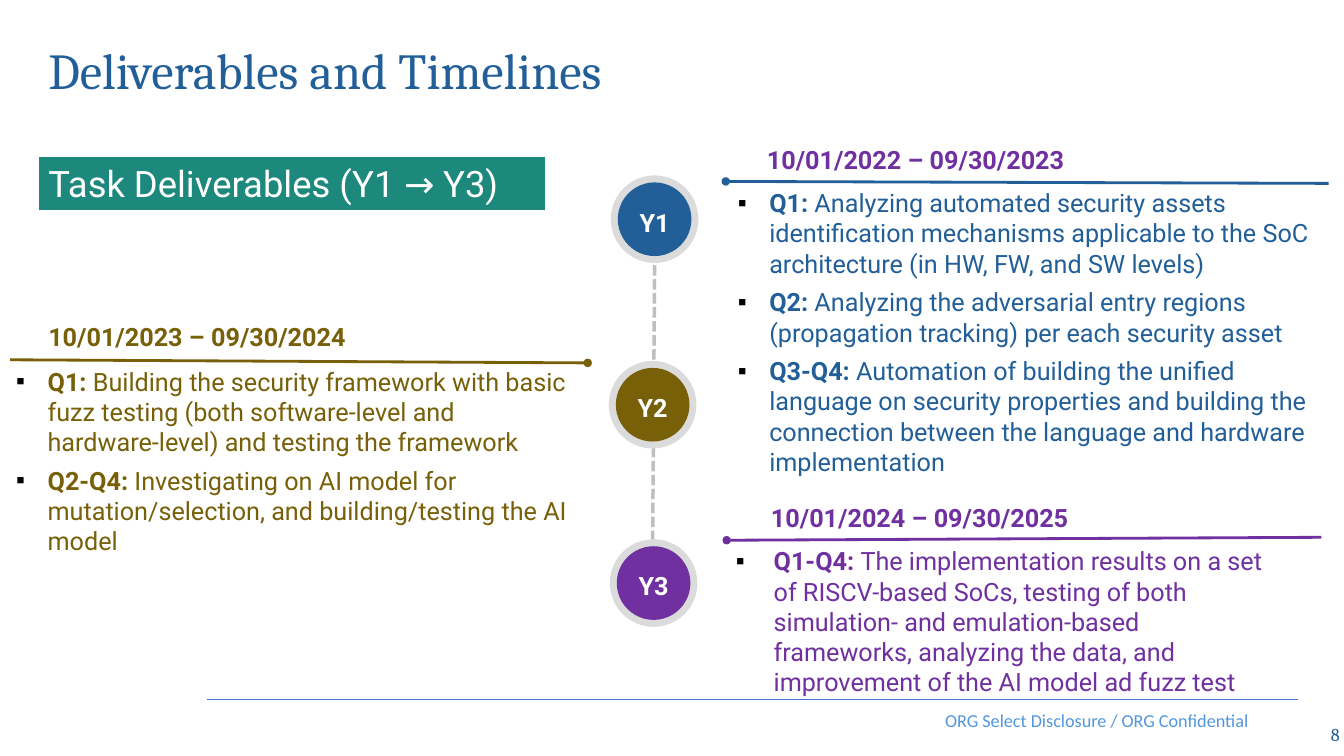
from lxml import etree
from pptx import Presentation
from pptx.dml.color import RGBColor
from pptx.enum.dml import MSO_LINE
from pptx.enum.shapes import MSO_CONNECTOR, MSO_SHAPE
from pptx.enum.text import MSO_ANCHOR, MSO_AUTO_SIZE, PP_ALIGN
from pptx.oxml.ns import qn
from pptx.util import Pt

STRAIGHT = MSO_CONNECTOR.STRAIGHT
OVAL, RECTANGLE = MSO_SHAPE.OVAL, MSO_SHAPE.RECTANGLE
TOP, MIDDLE = MSO_ANCHOR.TOP, MSO_ANCHOR.MIDDLE
LEFT, CENTER, RIGHT = PP_ALIGN.LEFT, PP_ALIGN.CENTER, PP_ALIGN.RIGHT
DASH = MSO_LINE.SQUARE_DOT
COMPARISON_LAYOUT = 3 + 1
HEADING, BODY, FOOTER = "Cambria", "Roboto", "Calibri"
COLORS = {
    "blue": "225F98", "gold": "786009", "purple": "7030A0", "teal": "1D897C",
    "ring": "DBDBDB", "dash": "BFBFBF", "rule": "4472C4", "footer": "5097DC",
    "white": "FFFFFF", "black": "000000",
}
RING, DISC = 62.6, 52.6

# Each year: label, ring centre, dates, dates colour, dates position
YEARS = [
    ("Y1", "blue", (467.6, 156.6), "10/01/2022 – 09/30/2023", "purple", (540.7, 99.4)),
    ("Y2", "gold", (466.2, 289.1), "10/01/2023 – 09/30/2024", "gold", (27.4, 226.1)),
    ("Y3", "purple", (466.9, 416.5), "10/01/2024 – 09/30/2025", "purple", (543.6, 355)),
]
# Each list: placeholder index, colour, box, hanging indent, rule start and end, items
LISTS = [
    (1, "blue", (519.8, 130.3, 430.6, 236.2), 22.5, (518.4, 129.6), (949, 131), [
        ("Q1:", " Analyzing automated security assets identification mechanisms "
                "applicable to the SoC architecture (in HW, FW, and SW levels)"),
        ("Q2:", " Analyzing the adversarial entry regions (propagation tracking) "
                "per each security asset"),
        ("Q3-Q4:", " Automation of building the unified language on security "
                   "properties and building the connection between the language "
                   "and hardware implementation"),
    ]),
    (2, "gold", (4.3, 257.8, 411.8, 151.2), 22.5, (419.8, 259.2), (7.2, 257), [
        ("Q1:", " Building the security framework with basic fuzz testing (both "
                "software-level and hardware-level) and testing the framework"),
        ("Q2-Q4:", " Investigating on AI model for mutation/selection, and "
                   "building/testing the AI model"),
    ]),
    (4, "purple", (518.4, 386.2, 406.1, 125.3), 27, (519.1, 385.9), (943.9, 383.8), [
        ("Q1-Q4: ", "The implementation results on a set of RISCV-based SoCs, "
                    "testing of both simulation- and emulation-based frameworks, "
                    "analyzing the data, and improvement of the AI model ad fuzz test"),
    ]),
]


def color(name):
    return RGBColor.from_string(COLORS[name])


def place(shape, left, top, width, height):
    shape.left, shape.top = Pt(left), Pt(top)
    shape.width, shape.height = Pt(width), Pt(height)


def add_run(paragraph, text, font, size, color_name, bold=False):
    run = paragraph.add_run()
    run.text = text
    run.font.name, run.font.size, run.font.bold = font, Pt(size), bold
    run.font.color.rgb = color(color_name)


def set_frame(shape, anchor):
    frame = shape.text_frame
    frame.word_wrap = True
    frame.auto_size = MSO_AUTO_SIZE.NONE
    frame.vertical_anchor = anchor
    return frame


def add_label(slide, box, text, font, size, color_name, bold=False,
              align=LEFT, anchor=TOP, side_inset=7.2):
    label = slide.shapes.add_textbox(*map(Pt, box))
    frame = set_frame(label, anchor)
    frame.margin_left = frame.margin_right = Pt(side_inset)
    paragraph = frame.paragraphs[0]
    paragraph.alignment = align
    add_run(paragraph, text, font, size, color_name, bold)


def add_line(slide, start, end, color_name, width, oval_head=False):
    line = slide.shapes.add_connector(STRAIGHT, *map(Pt, start + end))
    line.line.color.rgb = color(color_name)
    line.line.width = Pt(width)
    if oval_head:
        etree.SubElement(line.line._get_or_add_ln(), qn("a:headEnd"), type="oval")
    etree.SubElement(line._element.spPr, qn("a:effectLst"))
    return line


def add_filled(slide, kind, box, fill):
    shape = slide.shapes.add_shape(kind, *map(Pt, box))
    shape.shadow.inherit = False
    shape.fill.solid()
    shape.fill.fore_color.rgb = color(fill)
    shape.line.fill.background()
    return shape


def add_circle(slide, center, diameter, fill):
    left, top = (value - diameter / 2 for value in center)
    return add_filled(slide, OVAL, (left, top, diameter, diameter), fill)


def add_year_badge(slide, label, center, fill):
    add_circle(slide, center, RING, "ring")
    disc = add_circle(slide, center, DISC, fill)
    frame = set_frame(disc, MIDDLE)
    frame.margin_left = frame.margin_right = frame.margin_bottom = 0
    frame.margin_top = Pt(4)
    frame.paragraphs[0].alignment = CENTER
    add_run(frame.paragraphs[0], label, BODY, 18, "white", True)


def set_bullet(paragraph, indent):
    properties = paragraph._p.get_or_add_pPr()
    properties.set("marL", str(Pt(indent)))
    properties.set("indent", str(-Pt(indent)))
    bullet_color = etree.SubElement(properties, qn("a:buClr"))
    etree.SubElement(bullet_color, qn("a:srgbClr"), val=COLORS["black"])
    etree.SubElement(properties, qn("a:buChar"), char="▪")


def fill_list(placeholder, box, indent, color_name, items):
    place(placeholder, *box)
    frame = set_frame(placeholder, TOP)
    for index, (quarter, text) in enumerate(items):
        paragraph = frame.add_paragraph() if index else frame.paragraphs[0]
        set_bullet(paragraph, indent)
        paragraph.space_before = Pt(6 if index else 0)
        add_run(paragraph, quarter, BODY, 18, color_name, True)
        add_run(paragraph, text, BODY, 18, color_name)


def fill_title(title):
    place(title, 27.4, 27.4, 900, 50.4)
    paragraph = set_frame(title, MIDDLE).paragraphs[0]
    paragraph.alignment = LEFT
    paragraph.line_spacing = 0.9
    add_run(paragraph, "Deliverables and Timelines", HEADING, 36, "blue")


def add_banner(slide):
    banner = add_filled(slide, RECTANGLE, (27.4, 111.6, 362.9, 38.9), "teal")
    banner.line.color.rgb = color("white")
    banner.line.width = Pt(1.5)
    paragraph = set_frame(banner, MIDDLE).paragraphs[0]
    paragraph.alignment = LEFT
    add_run(paragraph, "Task Deliverables (Y1 → Y3)", BODY, 26, "white")


def add_footer(slide):
    add_line(slide, (147.6, 499.7), (927.4, 499.7), "rule", 0.5)
    add_label(slide, (603.4, 500.4, 288, 28.8), "ORG Select Disclosure / ORG Confidential",
              FOOTER, 13, "footer", align=RIGHT, anchor=MIDDLE, side_inset=0)
    add_label(slide, (920.9, 509.8, 36, 28.8), "8", HEADING, 13, "blue",
              align=RIGHT, anchor=MIDDLE, side_inset=0)


def main():
    presentation = Presentation()
    presentation.slide_width, presentation.slide_height = Pt(960), Pt(540)
    slide = presentation.slides.add_slide(presentation.slide_layouts[COMPARISON_LAYOUT])
    placeholders = {shape.placeholder_format.idx: shape for shape in slide.placeholders}
    fill_title(slide.shapes.title)
    add_footer(slide)
    timeline = add_line(slide, (468, 129.6), (465.8, 443.5), "dash", 2.5)
    timeline.line.dash_style = DASH
    for index, color_name, box, indent, start, end, items in LISTS:
        add_line(slide, start, end, color_name, 2, oval_head=True)
        fill_list(placeholders.pop(index), box, indent, color_name, items)
    add_banner(slide)
    for label, fill, center, dates, dates_color, (left, top) in YEARS:
        add_year_badge(slide, label, center, fill)
        add_label(slide, (left, top, 281.5, 36), dates, BODY, 18, dates_color, True)
    for placeholder in placeholders.values():
        if not placeholder.text_frame.text:
            placeholder._element.getparent().remove(placeholder._element)
    presentation.save("out.pptx")


if __name__ == "__main__":
    main()
